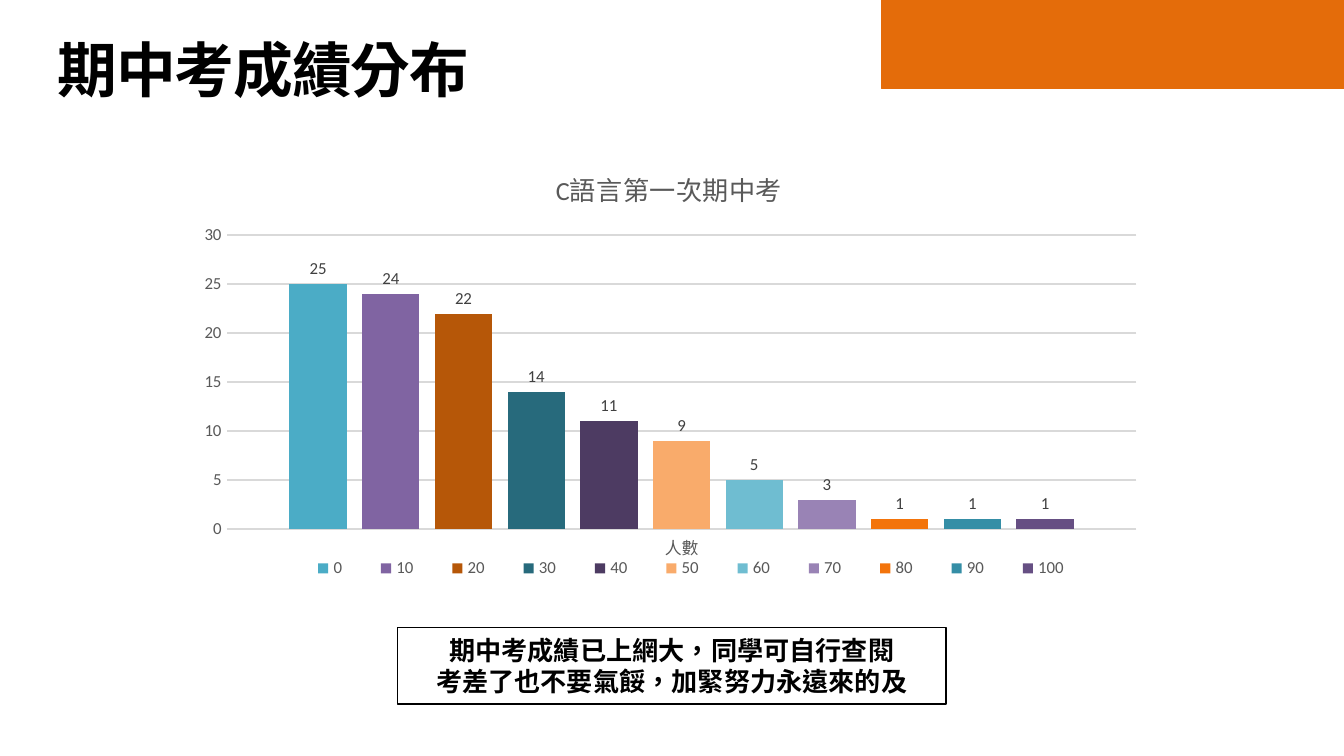
from lxml.etree import SubElement
from pptx import Presentation
from pptx.chart.data import CategoryChartData as Data
from pptx.dml.color import RGBColor as Rgb
from pptx.enum.chart import XL_CHART_TYPE as Kind, XL_LABEL_POSITION as Spot
from pptx.enum.chart import XL_LEGEND_POSITION as Side, XL_TICK_MARK as Tick
from pptx.enum.shapes import MSO_SHAPE as Shape
from pptx.enum.text import MSO_ANCHOR as Anchor, PP_ALIGN as Align
from pptx.oxml.ns import qn
from pptx.util import Inches, Pt

INK = {"black": "000000", "orange": "E46C0A", "grey": "595959", "grid": "D9D9D9", "label": "404040"}
HAN, LATIN = "Noto Sans CJK SC", "Calibri"
BARS = [
    ("0", 25, "4BACC6"), ("10", 24, "8064A2"), ("20", 22, "B65708"),
    ("30", 14, "276A7C"), ("40", 11, "4D3B62"), ("50", 9, "F9AB6B"),
    ("60", 5, "6FBDD1"), ("70", 3, "9983B5"), ("80", 1, "F3740B"),
    ("90", 1, "358EA6"), ("100", 1, "664F83"),
]


def tint(name):
    return Rgb.from_string(INK.get(name, name))


def style(font, size, color, face=LATIN, bold=False):
    font.size, font.name, font.bold = Pt(size), face, bold
    font.color.rgb = tint(color)


def write(frame, text, size=14, color="black", face=HAN, bold=True, align=Align.LEFT, gap=0):
    for i, line in enumerate(text.split("\n")):
        para = frame.add_paragraph() if i else frame.paragraphs[0]
        para.alignment = align
        run = para.add_run()
        run.text = line
        style(run.font, size, color, face, bold)
        props = run.font._element
        props.set("lang", "zh-TW")
        if gap:
            props.set("spc", str(round(gap * 100)))
        SubElement(props, qn("a:ea")).set("typeface", HAN)


def block(slide, box, fill=None, line="black"):
    shape = slide.shapes.add_shape(Shape.RECTANGLE, *map(Inches, box))
    shape.shadow.inherit = False
    if fill:
        shape.fill.solid()
        shape.fill.fore_color.rgb = tint(fill)
    else:
        shape.fill.background()
    shape.line.color.rgb = tint(line)
    shape.line.width = Pt(0.75)
    return shape


def head(slide, box):
    frame = slide.shapes.add_textbox(*map(Inches, box)).text_frame
    frame.word_wrap = True
    frame.vertical_anchor = Anchor.MIDDLE
    write(frame, "期中考成績分布", size=32, gap=-0.6)


def note(slide, box):
    frame = block(slide, box).text_frame
    frame.word_wrap = True
    frame.vertical_anchor = Anchor.TOP
    write(frame, "期中考成績已上網大，同學可自行查閱\n考差了也不要氣餒，加緊努力永遠來的及", align=Align.CENTER)


def place(node, index, inner=False, **parts):
    for old in node.findall(qn("c:layout")):
        node.remove(old)
    layout = SubElement(node, qn("c:layout"))
    node.insert(index, layout)
    manual = SubElement(layout, qn("c:manualLayout"))
    if inner:
        SubElement(manual, qn("c:layoutTarget")).set("val", "inner")
    for key in "xy":
        SubElement(manual, qn(f"c:{key}Mode")).set("val", "edge")
    for key, value in parts.items():
        SubElement(manual, qn(f"c:{key}")).set("val", str(value))


def scores(slide, box):
    data = Data()
    data.categories = ["人數"]
    for name, count, _ in BARS:
        data.add_series(name, [count])
    chart = slide.shapes.add_chart(Kind.COLUMN_CLUSTERED, *map(Inches, box), data).chart
    style(chart.font, 10, "black")

    chart.has_title = True
    write(chart.chart_title.text_frame, "C語言第一次期中考", color="grey", face=LATIN, bold=False)
    chart.has_legend = True
    chart.legend.position = Side.BOTTOM
    chart.legend.include_in_layout = False
    style(chart.legend.font, 9, "grey")

    for axis in (chart.category_axis, chart.value_axis):
        axis.major_tick_mark = axis.minor_tick_mark = Tick.NONE
        style(axis.tick_labels.font, 9, "grey")
    rows = chart.value_axis
    rows.minimum_scale, rows.maximum_scale, rows.major_unit = 0, 30, 5
    rows.format.line.fill.background()
    for line in (chart.category_axis.format.line, rows.major_gridlines.format.line):
        line.color.rgb = tint("grid")
        line.width = Pt(0.75)

    plot = chart.plots[0]
    plot.vary_by_categories = False
    plot.gap_width, plot.overlap = 219, -27
    for bar, (_, _, color) in zip(plot.series, BARS):
        bar.format.fill.solid()
        bar.format.fill.fore_color.rgb = tint(color)
        labels = bar.data_labels
        labels.show_value = True
        labels.position = Spot.OUTSIDE_END
        style(labels.font, 9, "label")

    root = chart._chartSpace
    place(root.xpath("c:chart/c:title")[0], 1, x=3 / 8, y=0.03)
    place(root.xpath("c:chart/c:legend")[0], 1, x=0.1, y=0.89, w=0.84, h=0.05)
    place(root.xpath("c:chart/c:plotArea")[0], 0, inner=True, x=0.04, y=0.19, w=0.94, h=0.64)


def main():
    deck = Presentation()
    deck.slide_width = Inches(10)
    deck.slide_height = deck.slide_width * 9 // 16
    slide = deck.slides.add_slide(deck.slide_layouts[6])
    head(slide, (0.33, 0.23, 7.02, 0.56))
    block(slide, (6.56, 0, 3.44, 0.66), fill="orange", line="orange")
    note(slide, (2.96, 4.67, 4.08, 0.57))
    scores(slide, (1.4, 1.1, 7.2, 3.42))
    deck.save("out.pptx")


if __name__ == "__main__":
    main()
